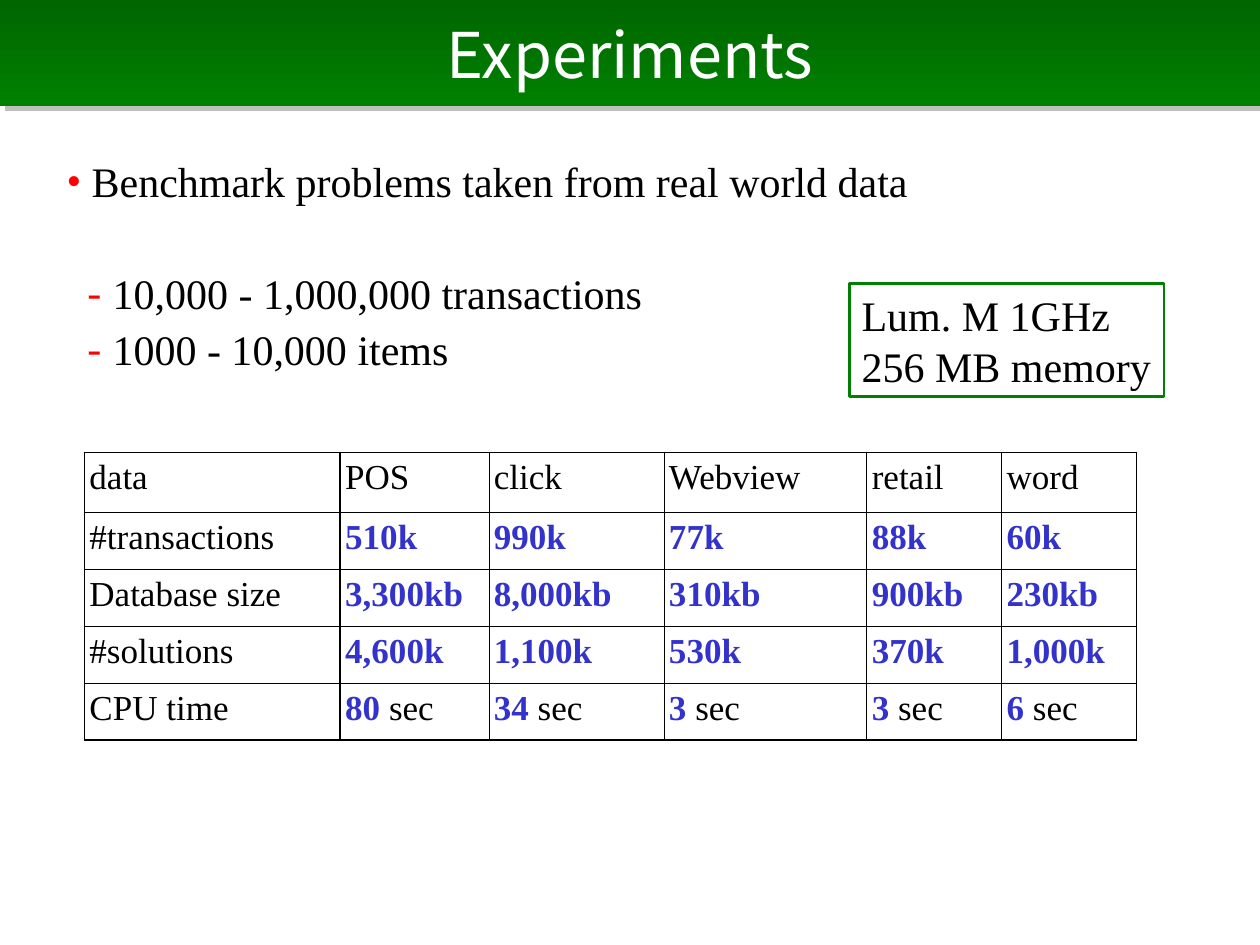
import dataclasses

import lxml.etree
import pptx
import pptx.dml.color
import pptx.enum.shapes
import pptx.enum.text
import pptx.oxml.ns
import pptx.util


@dataclasses.dataclass(frozen=True)
class Theme:
    """Colours, fonts, type sizes and line widths of the deck."""

    ink: str = "000000"
    paper: str = "FFFFFF"
    marker: str = "FF0000"
    figure: str = "3333CC"
    green: str = "008000"
    dark_green: str = "006600"
    shade: str = "808080"
    heading_font: str = "Noto Sans CJK JP"
    body_font: str = "Times New Roman"
    heading_size: int = 36
    body_size: int = 24
    table_size: int = 20
    hairline: float = 0.45
    frame_line: float = 1.08
    label_line: float = 1.47
    box_line: float = 1.5


THEME = Theme()


def colour(value):
    """Return an RGB colour from its hex text."""
    return pptx.dml.color.RGBColor.from_string(value)


def element(parent, tag, **attributes):
    """Append a drawing element to its parent."""
    return lxml.etree.SubElement(parent, pptx.oxml.ns.qn("a:" + tag), attributes)


def write(para, text, size=THEME.body_size, ink=THEME.ink, bold=False, font=THEME.body_font):
    """Add a formatted span of text to a paragraph."""
    span = para.add_run()
    span.text = text
    span.font.size = pptx.util.Pt(size)
    span.font.color.rgb = colour(ink)
    span.font.bold = bold
    span.font.name = font


class Page:
    """A slide laid out on a grid of 100 columns by 75 rows."""

    def __init__(self, deck, theme):
        """Open a blank slide in the deck."""
        self.theme = theme
        self.column = deck.slide_width // 100
        self.row = deck.slide_height // 75
        self.shapes = deck.slides.add_slide(deck.slide_layouts[6]).shapes

    def place(self, left, top, width, height):
        """Turn grid units into slide lengths."""
        return (round(left * self.column), round(top * self.row),
                round(width * self.column), round(height * self.row))

    def rectangle(self, *area):
        """Add a rectangle without a shadow."""
        box = self.shapes.add_shape(pptx.enum.shapes.MSO_SHAPE.RECTANGLE, *self.place(*area))
        box.shadow.inherit = False
        return box

    def banner(self, text, *area):
        """Add the gradient title bar with its soft shadow."""
        box = self.rectangle(*area)
        box.line.fill.background()
        box.fill.gradient()
        box.fill.gradient_angle = 270
        shades = (self.theme.dark_green, self.theme.green)
        for position, (stop, shade) in enumerate(zip(box.fill.gradient_stops, shades)):
            stop.position = position
            stop.color.rgb = colour(shade)
        effects = box._element.spPr.find(pptx.oxml.ns.qn("a:effectLst"))
        shadow = element(effects, "outerShdw", dist=str(pptx.util.Pt(4.2)),
                         dir="2700000", algn="ctr", rotWithShape="0")
        element(element(shadow, "srgbClr", val=self.theme.shade), "alpha", val="50000")
        box.text_frame.vertical_anchor = pptx.enum.text.MSO_ANCHOR.MIDDLE
        para = box.text_frame.paragraphs[0]
        para.alignment = pptx.enum.text.PP_ALIGN.CENTER
        write(para, text, size=self.theme.heading_size, ink=self.theme.paper,
              font=self.theme.heading_font)

    def bullets(self, items, *area):
        """Add a list of (marker, text, margin in columns, space before)."""
        frame = self.shapes.add_textbox(*self.place(*area)).text_frame
        frame.word_wrap = True
        for index, (marker, text, margin, space) in enumerate(items):
            para = frame.add_paragraph() if index else frame.paragraphs[0]
            properties = para._p.get_or_add_pPr()
            properties.set("marL", str(round(margin * self.column)))
            properties.set("indent", str(-2 * self.column))
            element(element(properties, "buClr"), "srgbClr", val=self.theme.marker)
            element(properties, "buFont", typeface=self.theme.body_font)
            element(properties, "buChar", char=marker)
            para.line_spacing = 0.9
            para.space_before = pptx.util.Pt(space)
            write(para, text)

    def note(self, lines, *area):
        """Add an outlined box with one paragraph for each line."""
        box = self.rectangle(*area)
        box.fill.background()
        box.line.color.rgb = colour(self.theme.green)
        box.line.width = pptx.util.Pt(self.theme.box_line)
        frame = box.text_frame
        frame.word_wrap = True
        frame.margin_right = 0
        frame.vertical_anchor = pptx.enum.text.MSO_ANCHOR.TOP
        for index, line in enumerate(lines):
            para = frame.add_paragraph() if index else frame.paragraphs[0]
            para.alignment = pptx.enum.text.PP_ALIGN.LEFT
            write(para, line)

    def borders(self, cell, widths):
        """Draw the left, right, top and bottom lines of a cell."""
        properties = cell._tc.get_or_add_tcPr()
        for index, (side, width) in enumerate(zip("LRTB", widths)):
            line = element(properties, "ln" + side, w=str(pptx.util.Pt(width)))
            element(element(line, "solidFill"), "srgbClr", val=self.theme.ink)
            properties.insert(index, line)

    def table(self, records, columns, rows, left, top):
        """Add a ruled table whose first row and column are labels."""
        area = self.place(left, top, sum(columns), sum(rows))
        grid = self.shapes.add_table(len(rows), len(columns), *area).table
        grid.first_row = grid.horz_banding = False
        for column, width in zip(grid.columns, columns):
            column.width = round(width * self.column)
        for row, height in zip(grid.rows, rows):
            row.height = round(height * self.row)
        thin, frame, label = self.theme.hairline, self.theme.frame_line, self.theme.label_line
        across = [frame, label] + [thin] * (len(columns) - 2) + [frame]
        down = [frame] + [thin] * (len(rows) - 1) + [frame]
        for y, record in enumerate(records):
            for x, text in enumerate(record):
                cell = grid.cell(y, x)
                cell.margin_left = cell.margin_right = round(0.4 * self.column)
                cell.fill.background()
                self.borders(cell, across[x:x + 2] + down[y:y + 2])
                para = cell.text_frame.paragraphs[0]
                if x and y:
                    value, gap, unit = text.partition(" ")
                    write(para, value + gap, size=self.theme.table_size,
                          ink=self.theme.figure, bold=True)
                    if unit:
                        write(para, unit, size=self.theme.table_size)
                else:
                    write(para, text, size=self.theme.table_size)


BENCHMARKS = [
    ["data", "POS", "click", "Webview", "retail", "word"],
    ["#transactions", "510k", "990k", "77k", "88k", "60k"],
    ["Database size", "3,300kb", "8,000kb", "310kb", "900kb", "230kb"],
    ["#solutions", "4,600k", "1,100k", "530k", "370k", "1,000k"],
    ["CPU time", "80 sec", "34 sec", "3 sec", "3 sec", "6 sec"],
]
POINTS = [
    ("•", "Benchmark problems taken from real world data", 2, 0),
    ("-", "10,000 - 1,000,000 transactions", 3.65, 38),
    ("-", "1000 - 10,000 items", 3.65, 6),
]


def main():
    """Build the experiments slide."""
    deck = pptx.Presentation()
    deck.slide_width, deck.slide_height = pptx.util.Inches(10), pptx.util.Inches(7.5)
    page = Page(deck, THEME)
    page.banner("Experiments", 0, 0, 100, 8.4)
    page.bullets(POINTS, 4.3, 12.3, 89, 19.7)
    page.table(BENCHMARKS, [20.3, 11.8, 13.9, 16.1, 10.7, 10.7], [4.75] + [4.52] * 4, 6.7, 35.9)
    page.note(["Lum. M 1GHz", "256 MB memory"], 67.4, 22.5, 25, 9)
    deck.save("out.pptx")


if __name__ == "__main__":
    main()
